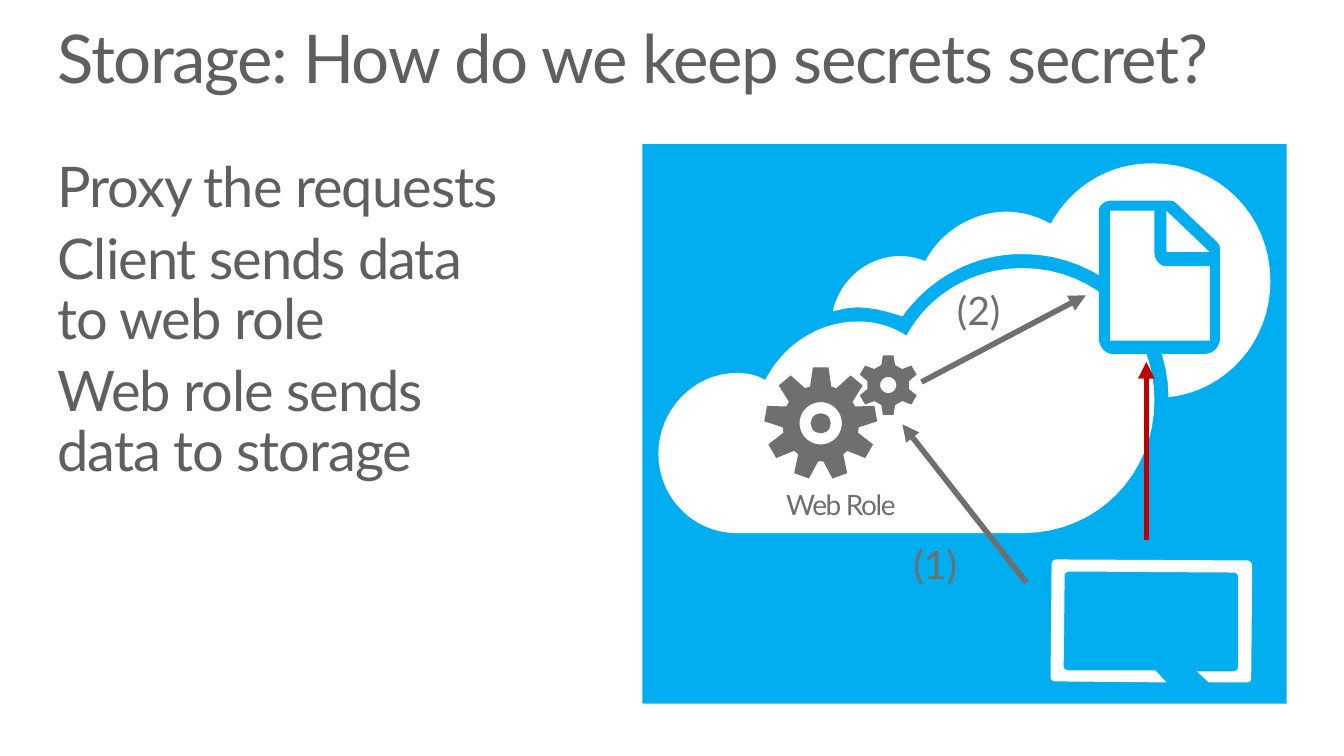
"""Build the slide on keeping storage secrets behind a web role."""
from math import cos, radians, sin

from lxml import etree
from pptx import Presentation
from pptx import util as u
from pptx.dml.color import RGBColor
from pptx.enum import shapes, text
from pptx.oxml.ns import qn

PX = 9144
SKY = RGBColor(0x00, 0xAE, 0xEF)
WHITE = RGBColor(0xFF, 0xFF, 0xFF)
TEXT_GREY = RGBColor(0x5F, 0x5F, 0x5F)
GREY = RGBColor(0x6F, 0x6F, 0x6F)
RED = RGBColor(0xBF, 0x00, 0x00)

BACK_CLOUD = [
    (1143, 162), (1099, 162, 1063, 185, 1042, 222),
    (1030, 215, 1014, 210, 998, 210), (964, 210, 932, 231, 918, 259),
    (909, 256, 902, 254, 893, 254), (861, 254, 833, 277, 826, 309),
    (833, 307, 842, 305, 851, 305), (865, 305, 881, 309, 895, 314),
    (923, 275, 966, 252, 1014, 252), (1095, 252, 1159, 316, 1159, 394),
    (1216, 388, 1260, 339, 1260, 279), (1260, 213, 1209, 162, 1143, 162)]
FRONT_CLOUD = [
    (1014, 266), (966, 266, 922, 291, 899, 333),
    (885, 324, 869, 319, 851, 319), (812, 319, 777, 342, 759, 377),
    (750, 372, 741, 370, 731, 370), (688, 370, 653, 407, 653, 450),
    (653, 494, 688, 529, 731, 529), (1014, 529),
    (1088, 529, 1145, 471, 1145, 397), (1145, 324, 1088, 266, 1014, 266)]
PAGE = [(1097, 206), (1158, 204), (1202, 244), (1206, 280), (1203, 343),
        (1098, 344)]
PAGE_FRAME = [
    (1206, 239), (1168, 203), (1164, 199, 1162, 199, 1157, 199), (1103, 199),
    (1096, 199, 1090, 203, 1090, 209), (1090, 336),
    (1090, 343, 1096, 351, 1103, 351), (1195, 351),
    (1204, 351, 1210, 343, 1210, 336), (1210, 250),
    (1210, 250, 1212, 245, 1206, 239)]
PAGE_INSIDE = [(1200, 338), (1101, 338), (1101, 209), (1145, 209), (1145, 250),
               (1145, 256, 1149, 264, 1157, 264), (1200, 264)]
PAGE_FOLD = [(1157, 250), (1157, 209), (1200, 250)]
SCREEN = [
    (1060, 665), (1057, 665, 1055, 663, 1055, 661), (1056, 570),
    (1056, 569, 1058, 567, 1061, 567), (1224, 568),
    (1226, 568, 1228, 570, 1228, 572), (1228, 662),
    (1228, 664, 1226, 666, 1223, 666), (1187, 666), (1199, 677), (1236, 677),
    (1239, 677, 1241, 676, 1241, 673), (1242, 561),
    (1242, 559, 1240, 556, 1237, 556), (1048, 555),
    (1045, 555, 1043, 557, 1043, 560), (1042, 672),
    (1042, 674, 1044, 676, 1047, 676), (1157, 677), (1146, 665)]


def box(*lengths):
    """Turn px lengths into EMU."""
    return [n * PX for n in lengths]


def flatten(contour, steps=16):
    """Turn corners and cubic curves into EMU points."""
    points = []
    for item in contour:
        if len(item) == 2:
            points.append(item)
            continue
        x0, y0 = points[-1]
        x1, y1, x2, y2, x3, y3 = item
        for i in range(1, steps + 1):
            t = i / steps
            a, b, c, d = (1 - t)**3, 3 * t * (1 - t)**2, 3 * t**2 * (1 - t), t**3
            points.append((a * x0 + b * x1 + c * x2 + d * x3,
                           a * y0 + b * y1 + c * y2 + d * y3))
    return [(x * PX, y * PX) for x, y in points]


def paint(sp, color):
    """Give a shape a plain fill with no line or shadow."""
    sp.shadow.inherit = False
    sp.fill.solid()
    sp.fill.fore_color.rgb = color
    sp.line.fill.background()
    return sp


def add_outline(s, color, *contours):
    """Draw one filled outline; further contours cut holes."""
    first, *holes = map(flatten, contours)
    builder = s.shapes.build_freeform(*first[0], scale=1.0)
    builder.add_line_segments(first[1:], close=True)
    for hole in holes:
        builder.move_to(*hole[0])
        builder.add_line_segments(hole[1:], close=True)
    return paint(builder.convert_to_shape(), color)


def polar(cx, cy, radius, degrees):
    """Find a point clockwise from the top of a circle."""
    angle = radians(degrees)
    return cx + radius * sin(angle), cy - radius * cos(angle)


def add_gear(s, cx, cy, teeth, tip, root, hole, tip_angle, root_angle):
    """Draw a gear with evenly spaced teeth and a round hole."""
    profile = [(root, -root_angle), (tip, -tip_angle), (tip, tip_angle),
               (root, root_angle)]
    rim = [polar(cx, cy, r, 360 * i / teeth + turn)
           for i in range(teeth) for r, turn in profile]
    bore = [polar(cx, cy, hole, -turn) for turn in range(0, 360, 6)]
    add_outline(s, GREY, rim, bore)


def add_preset(s, kind, bounds, color):
    """Draw a filled preset shape."""
    paint(s.shapes.add_shape(kind, *box(*bounds)), color)


def add_arrow(s, start, end, color):
    """Draw a thick arrow with a triangle head."""
    line = s.shapes.add_connector(shapes.MSO_CONNECTOR.STRAIGHT,
                                  *box(*start, *end))
    line.line.color.rgb = color
    line.line.width = u.Pt(4)
    etree.SubElement(line.line._get_or_add_ln(), qn("a:tailEnd"), type="triangle")
    etree.SubElement(line._element.spPr, qn("a:effectLst"))


def write(sp, bounds, lines, size, color, spc=0, wrap=True):
    """Place a text shape and format its paragraphs."""
    sp.left, sp.top, sp.width, sp.height = box(*bounds)
    tf = sp.text_frame
    tf.text = "\n".join(lines)
    tf.margin_left = tf.margin_top = tf.margin_right = tf.margin_bottom = 0
    tf.word_wrap = wrap
    tf.auto_size = text.MSO_AUTO_SIZE.SHAPE_TO_FIT_TEXT
    tf.vertical_anchor = text.MSO_ANCHOR.TOP
    for p in tf.paragraphs:
        p.alignment = text.PP_ALIGN.LEFT
        p.font.name, p.font.size = "Lato", u.Pt(size)
        p.font.color.rgb = color
        p._p.get_or_add_pPr().get_or_add_defRPr().set("spc", str(spc))
    return tf.paragraphs


def add_label(s, bounds, label, size, spc=0, wrap=False):
    """Add a grey text label."""
    sp = s.shapes.add_textbox(*box(*bounds))
    return write(sp, bounds, [label], size, GREY, spc, wrap)[0]


def fill_placeholders(s):
    """Write the title and the unbulleted list."""
    title = write(s.shapes.title, (57, 25, 1219, 73),
                  ["Storage: How do we keep secrets secret?"],
                  48, TEXT_GREY, -100)
    title[0].line_spacing = 0.9
    steps = ["Proxy the requests", "Client sends data\vto web role",
             "Web role sends\vdata to storage"]
    for p in write(s.placeholders[1], (57, 158, 1219, 223), steps,
                   40, TEXT_GREY, -70):
        p.line_spacing = 0.9
        p.space_before = u.Pt(8)
        pPr = p._p.pPr
        pPr.set("marL", "0")
        pPr.set("indent", "0")
        pPr.find(qn("a:defRPr")).addprevious(etree.Element(qn("a:buNone")))


def draw_web_role(s):
    """Draw the two gears and their caption."""
    add_gear(s, 814, 420, 9, 56, 38, 21, 8, 16)
    add_preset(s, shapes.MSO_SHAPE.OVAL, (804, 410, 20, 20), GREY)
    add_gear(s, 881, 382, 6, 30, 21, 8, 10, 19)
    p = add_label(s, (743, 487, 182, 30), "Web Role", 20, -100, True)
    p.alignment = text.PP_ALIGN.CENTER
    p.line_spacing = 0.9
    p.space_after = u.Pt(18)


def main():
    """Build and save the slide."""
    prs = Presentation()
    prs.slide_width, prs.slide_height = box(1333, 750)
    s = prs.slides.add_slide(prs.slide_layouts[1])
    fill_placeholders(s)
    add_preset(s, shapes.MSO_SHAPE.RECTANGLE, (637, 143, 639, 555), SKY)
    add_outline(s, WHITE, BACK_CLOUD)
    add_outline(s, WHITE, FRONT_CLOUD)
    add_arrow(s, (1018, 578), (895, 421), GREY)
    add_label(s, (906, 536, 45, 47), "(1)", 28)
    add_label(s, (949, 284, 45, 47), "(2)", 28)
    draw_web_role(s)
    add_outline(s, WHITE, PAGE)
    add_outline(s, SKY, PAGE_FRAME, PAGE_INSIDE, PAGE_FOLD)
    add_arrow(s, (914, 379), (1077, 293), GREY)
    add_outline(s, WHITE, SCREEN)
    add_arrow(s, (1137, 536), (1137, 359), RED)
    prs.save("out.pptx")


if __name__ == "__main__":
    main()
